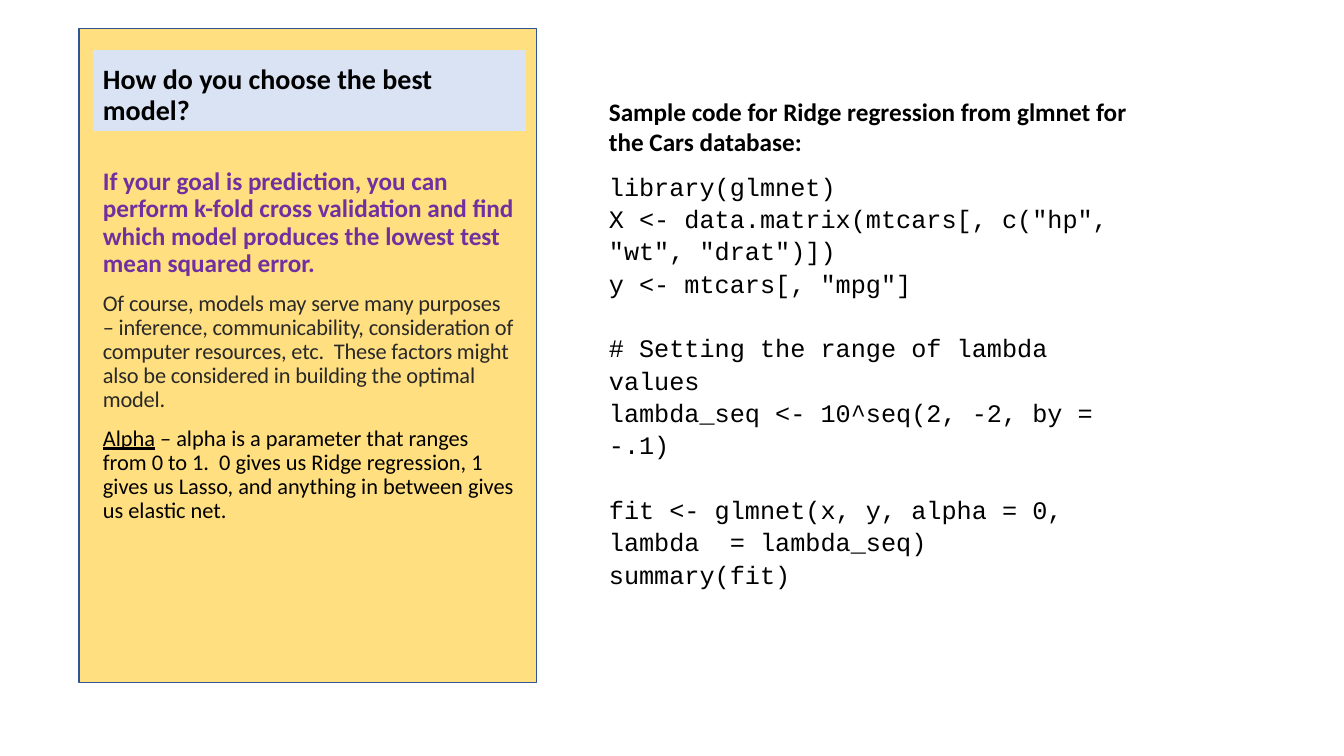
from lxml.etree import SubElement
from pptx import Presentation
from pptx.dml.color import RGBColor
from pptx.enum.shapes import MSO_SHAPE as Shape
from pptx.enum.text import MSO_ANCHOR as Anchor, PP_ALIGN as Align
from pptx.oxml.ns import qn
from pptx.util import Pt

EMU_PER_PIXEL = 914400 / 100.8

GOAL = {"size": Pt(18), "bold": True, "name": "Calibri"}
DETAIL = {"size": Pt(16), "bold": False, "name": "Calibri"}
TERM = {**DETAIL, "underline": True}
HEADING = {"size": Pt(20), "bold": True, "name": "Calibri"}
CODE = {"size": Pt(18), "name": "Courier New"}

PANEL_SPACING = {"line_spacing": 0.9, "space_before": Pt(10)}
CODE_SPACING = {"line_spacing": 1.07}

CODE_BLOCKS = [
    ["library(glmnet)",
     'X <- data.matrix(mtcars[, c("hp", "wt", "drat")])',
     'y <- mtcars[, "mpg"]'],
    ["# Setting the range of lambda values",
     "lambda_seq <- 10^seq(2, -2, by = -.1)"],
    ["fit <- glmnet(x, y, alpha = 0, lambda  = lambda_seq)",
     "summary(fit)"],
]


def px(*pixels):
    return [round(value * EMU_PER_PIXEL) for value in pixels]


def color(code):
    return RGBColor.from_string(code)


def apply(target, values):
    for attribute, value in values.items():
        setattr(target, attribute, value)


def add_box(slide, place, fill, outline=None, opacity=100):
    box = slide.shapes.add_shape(Shape.RECTANGLE, *px(*place))
    box.shadow.inherit = False
    box.fill.solid()
    box.fill.fore_color.rgb = color(fill)
    if opacity < 100:
        tint = box.fill._xPr.find(".//" + qn("a:srgbClr"))
        SubElement(tint, qn("a:alpha"), val=str(opacity * 1000))
    if outline:
        box.line.color.rgb = color(outline)
        box.line.width = Pt(0.75)
    else:
        box.line.fill.background()
    return box


def write(frame, paragraphs, anchor=Anchor.TOP):
    apply(frame, {"word_wrap": True, "vertical_anchor": anchor})
    for index, (spacing, runs) in enumerate(paragraphs):
        paragraph = frame.add_paragraph() if index else frame.paragraphs[0]
        apply(paragraph, {"alignment": Align.LEFT, **spacing})
        for text, font, ink, tracking in runs:
            run = paragraph.add_run()
            run.text = text
            apply(run.font, font)
            run.font.color.rgb = color(ink)
            if tracking:
                run.font._element.set("spc", str(tracking))


def add_text(slide, place, paragraphs):
    write(slide.shapes.add_textbox(*px(*place)).text_frame, paragraphs)


def code_paragraphs(blocks):
    for number, block in enumerate(blocks):
        for row, line in enumerate(block):
            gap = Pt(23) if number and not row else Pt(0)
            yield {**CODE_SPACING, "space_before": gap}, [(line, CODE, "000000", 0)]


def main():
    deck = Presentation()
    apply(deck, dict(zip(("slide_width", "slide_height"), px(1344, 756))))
    slide = deck.slides.add_slide(deck.slide_layouts[6])

    add_box(slide, (79, 29, 458, 654), "FFC000", "2F5597", 50)
    add_text(slide, (93, 164, 433, 482), [
        (PANEL_SPACING, [
            ("If your goal is prediction, you can perform k-fold cross validation "
             "and find which model produces the lowest test mean squared error.",
             GOAL, "7030A0", 0)]),
        (PANEL_SPACING, [
            ("Of course, models may serve many purposes – inference, "
             "communicability, consideration of computer resources, etc.  These "
             "factors might also be considered in building the optimal model.",
             DETAIL, "292929", -10)]),
        (PANEL_SPACING, [
            ("Alpha", TERM, "000000", 0),
            (" – alpha is a parameter that ranges from 0 to 1.  0 gives us Ridge "
             "regression, 1 gives us Lasso, and anything in between gives us "
             "elastic net.", DETAIL, "000000", 0)]),
    ])

    heading = add_box(slide, (93, 50, 433, 81), "DAE3F3")
    write(heading.text_frame, [
        ({"line_spacing": 0.9},
         [("How do you choose the best model?", HEADING, "000000", 0)]),
    ], Anchor.BOTTOM)

    add_text(slide, (599, 91, 572, 72), [
        ({}, [("Sample code for Ridge regression from glmnet for the Cars database:",
               GOAL, "000000", 0)]),
    ])
    add_text(slide, (599, 164, 552, 400), code_paragraphs(CODE_BLOCKS))

    deck.save("out.pptx")


main()
